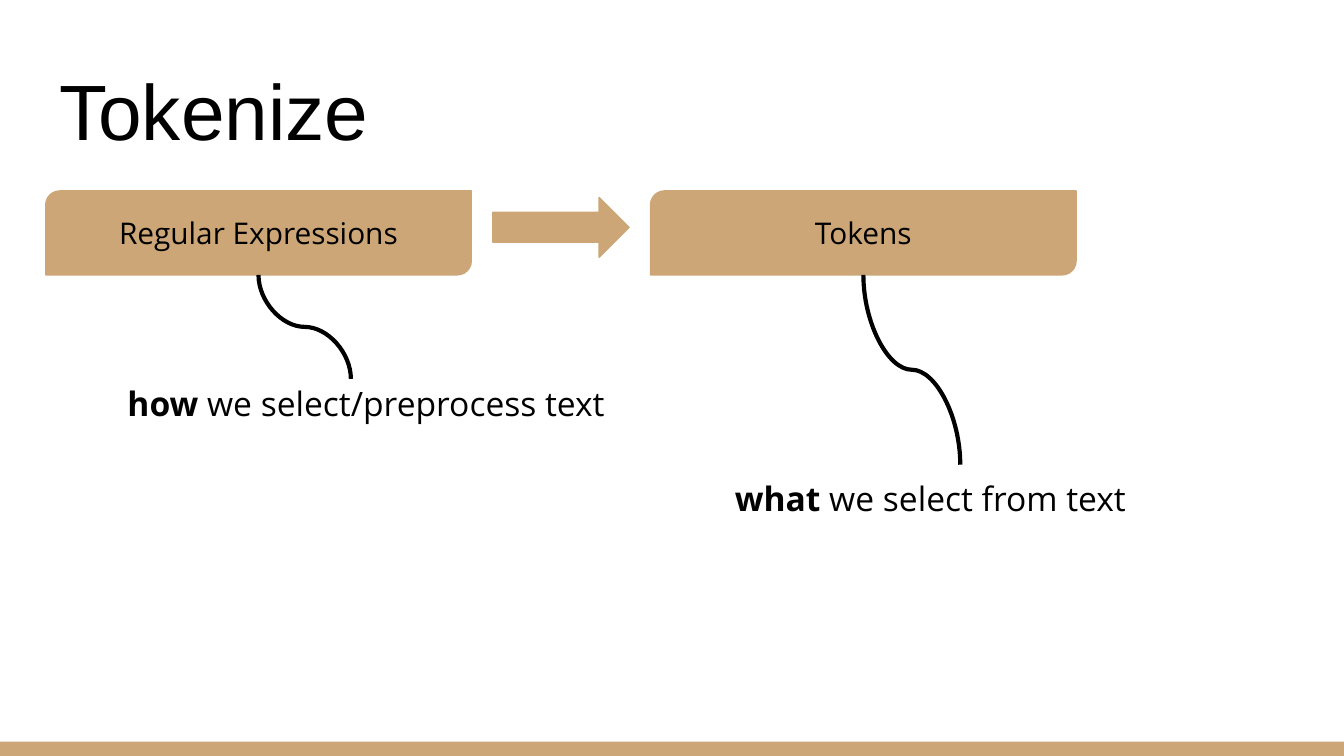
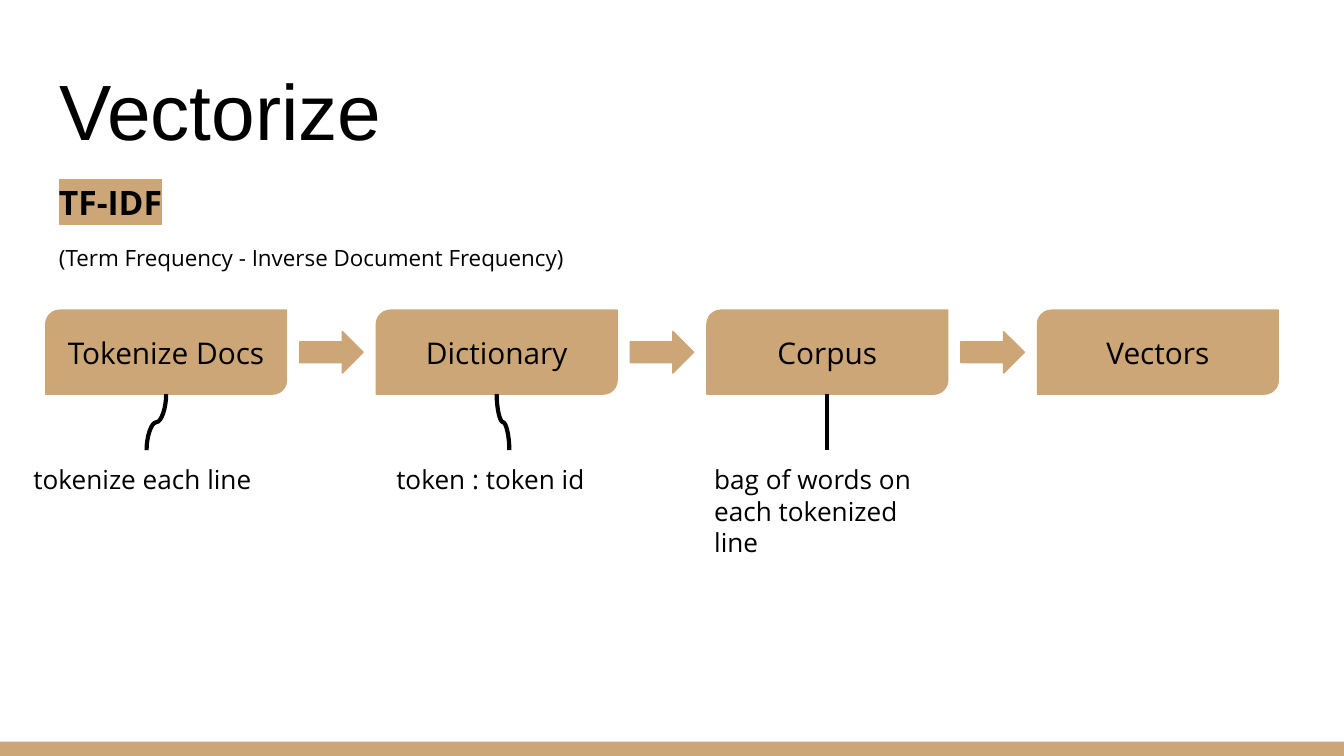
import pptx
import pptx.util
import pptx.dml.color
import pptx.enum.shapes
import pptx.enum.text
import pptx.oxml
import pptx.oxml.ns

Pt = pptx.util.Pt
RGBColor = pptx.dml.color.RGBColor
SHAPE = pptx.enum.shapes.MSO_SHAPE
ALIGN = pptx.enum.text.PP_ALIGN
ANCHOR = pptx.enum.text.MSO_ANCHOR

TAN = RGBColor(0xCC, 0xA6, 0x77)
BLACK = RGBColor(0, 0, 0)
TITLE_FONT = "Arial"
BODY_FONT = "Open Sans"
WIDTH, HEIGHT = 720, 405
MARGIN = 24.5
STEP_HEIGHT = 45
INSET = 7.2


def drawing_element(tag):
    return pptx.oxml.parse_xml(f"<a:{tag} {pptx.oxml.ns.nsdecls('a')}/>")


def add_run(paragraph, text, size, bold=False, font=BODY_FONT):
    run = paragraph.add_run()
    run.text = text
    run.font.name = font
    run.font.size = Pt(size)
    run.font.bold = bold
    run.font.color.rgb = BLACK
    return run


def highlight(run, color):
    mark = drawing_element("highlight")
    swatch = drawing_element("srgbClr")
    swatch.set("val", str(color))
    mark.append(swatch)
    run.font._element.find(pptx.oxml.ns.qn("a:solidFill")).addnext(mark)


def prepare_frame(frame, anchor):
    frame.word_wrap = True
    frame.auto_size = pptx.enum.text.MSO_AUTO_SIZE.NONE
    frame.vertical_anchor = anchor
    frame.margin_left = frame.margin_right = Pt(INSET)
    frame.margin_top = frame.margin_bottom = Pt(INSET)
    return frame.paragraphs[0]


def add_tan_shape(slide, kind, left, top, width, height):
    shape = slide.shapes.add_shape(kind, Pt(left), Pt(top), Pt(width), Pt(height))
    shape.shadow.inherit = False
    shape.fill.solid()
    shape.fill.fore_color.rgb = TAN
    shape.line.color.rgb = TAN
    shape.line.width = Pt(0.75)
    return shape


def add_text(slide, left, top, width, height):
    box = slide.shapes.add_textbox(Pt(left), Pt(top), Pt(width), Pt(height))
    prepare_frame(box.text_frame, ANCHOR.TOP)
    return box.text_frame


def add_layout_band(slide):
    band = add_tan_shape(slide, SHAPE.RECTANGLE, 0, 397.4, WIDTH, HEIGHT - 397.4)
    band.line.fill.background()
    slide.slide_layout.shapes._spTree.append(band._element)


def add_titled_slide(deck, text):
    slide = deck.slides.add_slide(deck.slide_layouts[5])
    title = slide.shapes.title
    title.left, title.top = Pt(MARGIN), Pt(25.2)
    title.width, title.height = Pt(WIDTH - 2 * MARGIN), Pt(65.5)
    heading = prepare_frame(title.text_frame, ANCHOR.BOTTOM)
    heading.alignment = ALIGN.LEFT
    add_run(heading, text, 42, font=TITLE_FONT)
    return slide


def add_flow(slide, top, labels, step_width, gap, arrow_width, arrow_height, lift=0):
    exits = []
    for index, label in enumerate(labels):
        left = MARGIN + index * (step_width + gap)
        step = add_tan_shape(slide, SHAPE.ROUND_2_DIAG_RECTANGLE,
                             left, top, step_width, STEP_HEIGHT)
        step.adjustments[0] = 0.167
        step.adjustments[1] = 0
        paragraph = prepare_frame(step.text_frame, ANCHOR.MIDDLE)
        paragraph.alignment = ALIGN.CENTER
        add_run(paragraph, label, 16)
        if index:
            add_tan_shape(slide, SHAPE.RIGHT_ARROW,
                          left - (gap + arrow_width) / 2,
                          top + (STEP_HEIGHT - arrow_height) / 2 - lift,
                          arrow_width, arrow_height)
        exits.append((left + step_width / 2, top + STEP_HEIGHT))
    return exits


def add_hanging_curve(slide, start, end):
    (start_x, start_y), (end_x, end_y) = start, end
    middle_x, middle_y = (start_x + end_x) / 2, (start_y + end_y) / 2
    half_drop, half_shift = (end_y - start_y) / 2, abs(end_x - start_x) / 2
    curve = slide.shapes.add_connector(
        pptx.enum.shapes.MSO_CONNECTOR.CURVE,
        Pt(middle_x - half_drop), Pt(middle_y - half_shift),
        Pt(middle_x + half_drop), Pt(middle_y + half_shift))
    curve.line.color.rgb = BLACK
    curve.line.width = Pt(2.25)
    properties = curve._element.spPr
    properties.append(drawing_element("effectLst"))
    turn = properties.find(pptx.oxml.ns.qn("a:xfrm"))
    if end_x < start_x:
        turn.set("rot", str(90 * 60000))
    else:
        turn.set("rot", str(270 * 60000))
        turn.set("flipH", "1")


def add_caption(slide, box, runs, size):
    paragraph = add_text(slide, *box).paragraphs[0]
    for text, bold in runs:
        add_run(paragraph, text, size, bold)


def add_method(slide, left, top, width, height):
    frame = add_text(slide, left, top, width, height)
    highlight(add_run(frame.paragraphs[0], "TF-IDF", 18, True), TAN)
    meaning = frame.add_paragraph()
    meaning.space_before = meaning.space_after = Pt(12)
    add_run(meaning, "(Term Frequency - Inverse Document Frequency)", 12)


def build_tokenize(deck):
    slide = add_titled_slide(deck, "Tokenize")
    add_layout_band(slide)
    exits = add_flow(slide, 102.3, ["Regular Expressions", "Tokens"],
                     228, 96, 73, 32, lift=3)
    notes = [
        ((61.2, 198, 276, 36), (188, 203), "how", " we select/preprocess text"),
        ((386.6, 249, 255.6, 36), (514.4, 249), "what", " we select from text"),
    ]
    for start, (box, end, keyword, rest) in zip(exits, notes):
        add_hanging_curve(slide, start, end)
        add_caption(slide, box, [(keyword, True), (rest, False)], 18)


def build_vectorize(deck):
    slide = add_titled_slide(deck, "Vectorize")
    add_method(slide, MARGIN, 90, 323, 73.5)
    exits = add_flow(slide, 166.2,
                     ["Tokenize Docs", "Dictionary", "Corpus", "Vectors"],
                     129, 48.1, 34, 22.3)
    caption_top, caption_width = 241.2, 135.4
    notes = [
        (10.8, 30, "tokenize each line"),
        (205.2, 30, "token : token id"),
        (375.5, 65.5, "bag of words on each tokenized line"),
    ]
    for start, (left, height, text) in zip(exits, notes):
        add_hanging_curve(slide, start, (left + caption_width / 2, caption_top))
        add_caption(slide, (left, caption_top, caption_width, height),
                    [(text, False)], 14)


def main():
    deck = pptx.Presentation()
    deck.slide_width, deck.slide_height = Pt(WIDTH), Pt(HEIGHT)
    build_tokenize(deck)
    build_vectorize(deck)
    deck.save("out.pptx")


if __name__ == "__main__":
    main()
